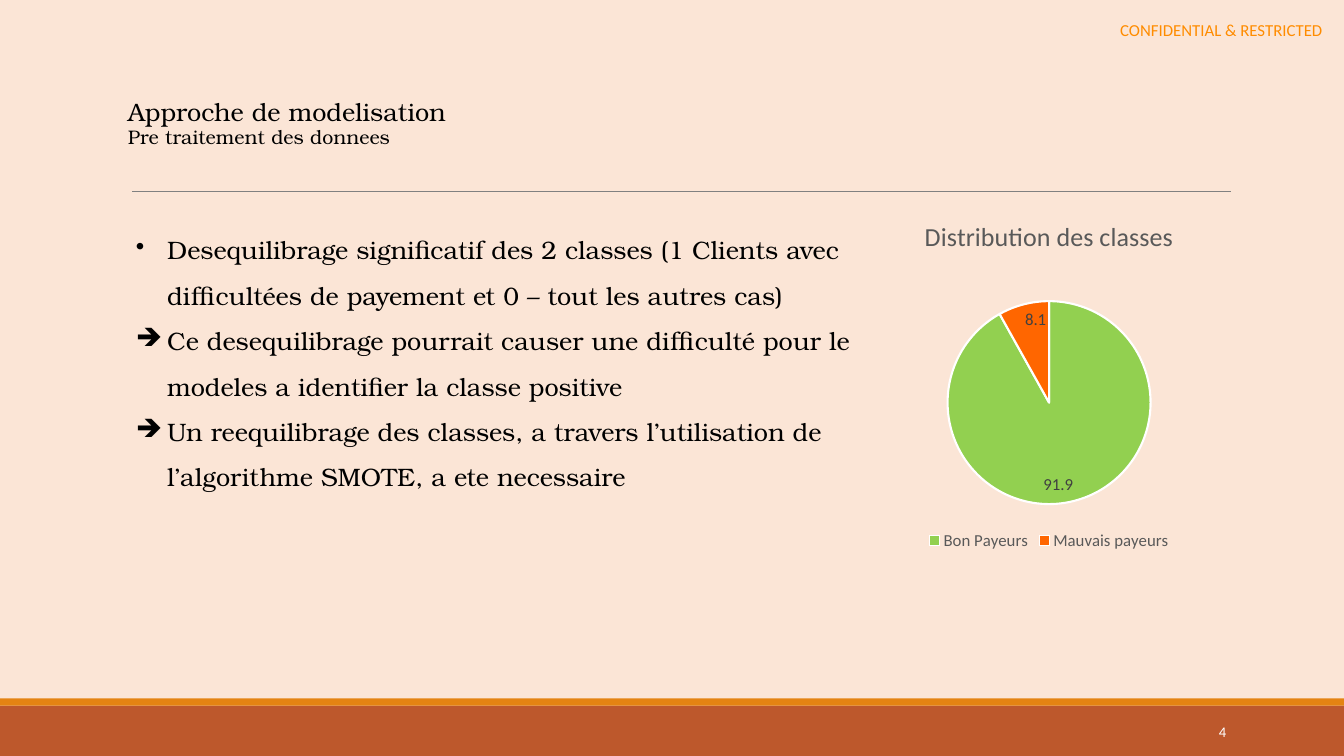
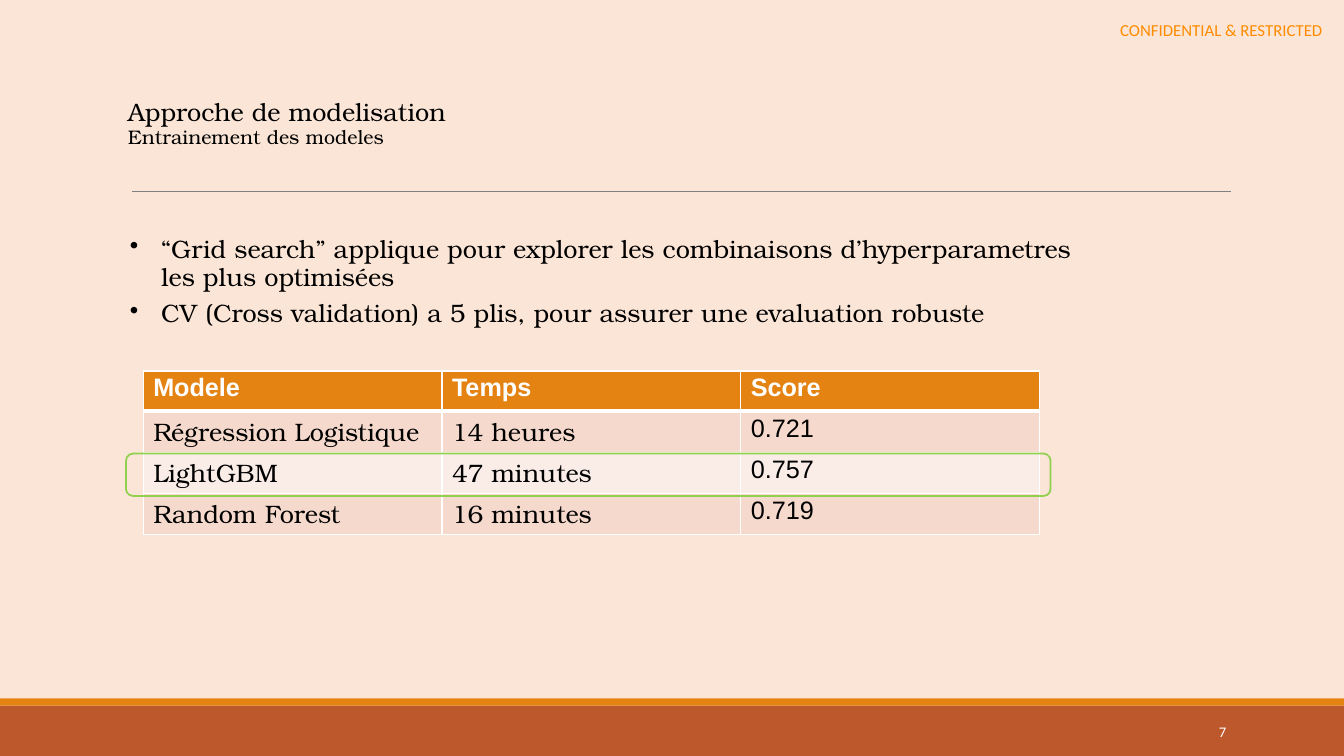
from lxml import etree
from pptx import Presentation
from pptx.chart.data import CategoryChartData
from pptx.dml.color import RGBColor
from pptx.enum.chart import XL_CHART_TYPE, XL_LABEL_POSITION, XL_LEGEND_POSITION
from pptx.enum.shapes import MSO_CONNECTOR, MSO_SHAPE
from pptx.enum.text import MSO_ANCHOR, PP_ALIGN
from pptx.oxml.ns import qn
from pptx.util import Inches, Pt

PIE = XL_CHART_TYPE.PIE
IN_END = XL_LABEL_POSITION.INSIDE_END
BELOW = XL_LEGEND_POSITION.BOTTOM
LINE = MSO_CONNECTOR.STRAIGHT
RECT, ROUND = MSO_SHAPE.RECTANGLE, MSO_SHAPE.ROUNDED_RECTANGLE
TOP, MIDDLE = MSO_ANCHOR.TOP, MSO_ANCHOR.MIDDLE
LEFT, RIGHT = PP_ALIGN.LEFT, PP_ALIGN.RIGHT

SERIF, SANS, ARIAL = "TeX Gyre Bonum", "Calibri", "Arial"
PAPER, RUST, AMBER, GOLD = "FBE5D6", "BD582C", "E48312", "FF8C00"
GREEN, ORANGE = "92D050", "FF6600"
BLACK, WHITE, GREY, RULE, DARK = "000000", "FFFFFF", "595959", "808080", "404040"
BANDS = ["F5D9CC", "FAEDE7"]
WIDE, HIGH = 13.33, 7.5
TIGHT = 0.93
INDENT = 0.31


def rgb(code):
    """Turn a hex string into a colour."""
    return RGBColor.from_string(code)


def style(font, size=18, face=SERIF, color=BLACK, bold=False):
    """Set the look of a font."""
    font.size, font.name, font.bold = Pt(size), face, bold
    font.color.rgb = rgb(color)


def write(par, text, space=TIGHT, after=0, align=LEFT, mark=None, **look):
    """Fill a paragraph with formatted text and an optional bullet."""
    par.line_spacing, par.space_after, par.alignment = space, Pt(after), align
    if mark:
        props = par._p.get_or_add_pPr()
        props.set("marL", str(Inches(INDENT)))
        props.set("indent", str(Inches(-INDENT)))
        tint = etree.SubElement(props, qn("a:buClr"))
        etree.SubElement(tint, qn("a:srgbClr"), val=BLACK)
        etree.SubElement(props, qn("a:buChar"), char=mark)
    run = par.add_run()
    run.text = text
    style(run.font, **look)


def add_text(slide, box, items, inset=True, anchor=TOP):
    """Place a text box holding (text, format) paragraphs."""
    frame = slide.shapes.add_textbox(*map(Inches, box)).text_frame
    frame.word_wrap, frame.vertical_anchor = True, anchor
    if not inset:
        frame.margin_left = frame.margin_right = 0
        frame.margin_top = frame.margin_bottom = 0
    for num, (text, look) in enumerate(items):
        par = frame.add_paragraph() if num else frame.paragraphs[0]
        write(par, text, **look)


def add_box(slide, kind, box, fill=None, line=None):
    """Place a preset shape with a fill or an outline."""
    shape = slide.shapes.add_shape(kind, *map(Inches, box))
    shape.shadow.inherit = False
    if fill:
        shape.fill.solid()
        shape.fill.fore_color.rgb = rgb(fill)
    else:
        shape.fill.background()
    if line:
        shape.line.color.rgb = rgb(line)
        shape.line.width = Pt(1.25)
    else:
        shape.line.fill.background()


def add_rule(slide, left, right, top):
    """Draw the thin line under the title."""
    rule = slide.shapes.add_connector(LINE, *map(Inches, (left, top, right, top)))
    rule.line.color.rgb = rgb(RULE)
    rule.line.width = Pt(0.5)
    etree.SubElement(rule._element.spPr, qn("a:effectLst"))


def add_frame(deck, topic, page):
    """Start a slide with its background, bands, title and number."""
    slide = deck.slides.add_slide(deck.slide_layouts[6])
    slide.background.fill.solid()
    slide.background.fill.fore_color.rgb = rgb(PAPER)
    add_box(slide, RECT, (0, 7, WIDE, 0.5), fill=RUST)
    add_box(slide, RECT, (0, 6.93, WIDE, 0.07), fill=AMBER)
    add_rule(slide, 1.31, 12.21, 1.9)
    add_text(slide, (11.11, 0.21, 2.05, 0.2),
             [("CONFIDENTIAL & RESTRICTED", dict(size=12, face=SANS, color=GOLD))],
             inset=False)
    add_text(slide, (10.83, 7.06, 1.43, 0.4),
             [(page, dict(size=10.5, face=SANS, color=WHITE, align=RIGHT, space=1.0))],
             anchor=MIDDLE)
    add_text(slide, (1.17, 0.93, 3.47, 0.6),
             [("Approche de modelisation", {}), (topic, dict(size=14))])
    return slide


def set_plot(chart, **part):
    """Fix the inner plot area as fractions of the chart."""
    area = chart._chartSpace.chart.plotArea
    for old in area.findall(qn("c:layout")):
        area.remove(old)
    layout = etree.Element(qn("c:layout"))
    area.insert(0, layout)
    manual = etree.SubElement(layout, qn("c:manualLayout"))
    rules = dict(layoutTarget="inner", xMode="edge", yMode="edge", **part)
    for name, val in rules.items():
        etree.SubElement(manual, qn("c:" + name), val=str(val))


def add_pie(slide, box, title, parts):
    """Place a pie chart from (name, value, colour) parts."""
    data = CategoryChartData()
    data.categories = [name for name, _, _ in parts]
    data.add_series("Series 1", [val for _, val, _ in parts])
    chart = slide.shapes.add_chart(PIE, *map(Inches, box), data).chart
    style(chart.font, size=10, face=SANS)
    chart.has_title = True
    write(chart.chart_title.text_frame.paragraphs[0], title, space=1.0,
          align=PP_ALIGN.CENTER, size=18.6, face=SANS, color=GREY)
    chart.has_legend = True
    chart.legend.position = BELOW
    chart.legend.include_in_layout = False
    style(chart.legend.font, size=12, face=SANS, color=GREY)
    plot = chart.plots[0]
    plot.vary_by_categories = True
    plot.has_data_labels = True
    tags = plot.data_labels
    tags.show_value, tags.show_percentage = True, False
    tags.position = IN_END
    style(tags.font, size=12, face=SANS, color=DARK)
    for num, (_, _, color) in enumerate(parts):
        look = plot.series[0].points[num].format
        look.fill.solid()
        look.fill.fore_color.rgb = rgb(color)
        look.line.color.rgb = rgb(WHITE)
        look.line.width = Pt(1.5)
    set_plot(chart, x=0.23, y=0.28, w=0.54, h=0.58)


def set_cell(cell, text, fill, base=1, **look):
    """Fill one cell and draw its white borders."""
    props = cell._tc.get_or_add_tcPr()
    for side, width in zip("LRTB", (1, 1, 1, base)):
        edge = etree.SubElement(props, qn("a:ln" + side), w=str(Pt(width)))
        tint = etree.SubElement(edge, qn("a:solidFill"))
        etree.SubElement(tint, qn("a:srgbClr"), val=WHITE)
    cell.fill.solid()
    cell.fill.fore_color.rgb = rgb(fill)
    write(cell.text_frame.paragraphs[0], text, **look)


def add_grid(slide, box, rows, head=0.4):
    """Place a table with a header row and banded body rows."""
    left, top, width, height = box
    count = len(rows[0])
    table = slide.shapes.add_table(len(rows), count, *map(Inches, box)).table
    table.horz_banding = False
    step = (height - head) / (len(rows) - 1)
    for col in table.columns:
        col.width = Inches(width / count)
    for i, row in enumerate(rows):
        table.rows[i].height = Inches(step if i else head)
        for j, text in enumerate(row):
            cell = table.cell(i, j)
            if i:
                face = ARIAL if j == count - 1 else SERIF
                set_cell(cell, text, BANDS[(i - 1) % 2], base=1, face=face)
            else:
                set_cell(cell, text, AMBER, base=3, face=ARIAL, color=WHITE, bold=True)


def add_data(deck):
    """Build the slide on class balance."""
    slide = add_frame(deck, "Pre traitement des donnees", "4")
    add_pie(slide, (8.54, 2, 3.73, 3.5), "Distribution des classes",
            [("Bon Payeurs", 91.9, GREEN), ("Mauvais payeurs", 8.1, ORANGE)])
    notes = [
        ("•", "Desequilibrage significatif des 2 classes (1 Clients avec "
              "difficultées de payement et 0 – tout les autres cas)"),
        ("➔", "Ce desequilibrage pourrait causer une difficulté pour le "
              "modeles a identifier la classe positive"),
        ("➔", "Un reequilibrage des classes, a travers l’utilisation de "
              "l’algorithme SMOTE, a ete necessaire"),
    ]
    add_text(slide, (1.25, 2.13, 7.4, 3.68),
             [(text, dict(mark=mark, space=1.5)) for mark, text in notes])


def add_models(deck):
    """Build the slide on model training."""
    slide = add_frame(deck, "Entrainement des modeles", "7")
    notes = [
        "“Grid search” applique pour explorer les combinaisons "
        "d’hyperparametres les plus optimisées",
        "CV (Cross validation) a 5 plis, pour assurer une evaluation robuste",
    ]
    add_text(slide, (1.19, 2.29, 9.73, 1.39),
             [(text, dict(mark="•", after=6)) for text in notes])
    add_grid(slide, (1.42, 3.68, 8.89, 1.62), [
        ("Modele", "Temps", "Score"),
        ("Régression Logistique", "14 heures", "0.721"),
        ("LightGBM", "47 minutes", "0.757"),
        ("Random Forest", "16 minutes", "0.719"),
    ])
    add_box(slide, ROUND, (1.25, 4.5, 9.17, 0.42), line=GREEN)


def main():
    """Build and save the deck."""
    deck = Presentation()
    deck.slide_width, deck.slide_height = Inches(WIDE), Inches(HIGH)
    add_data(deck)
    add_models(deck)
    deck.save("out.pptx")


if __name__ == "__main__":
    main()
